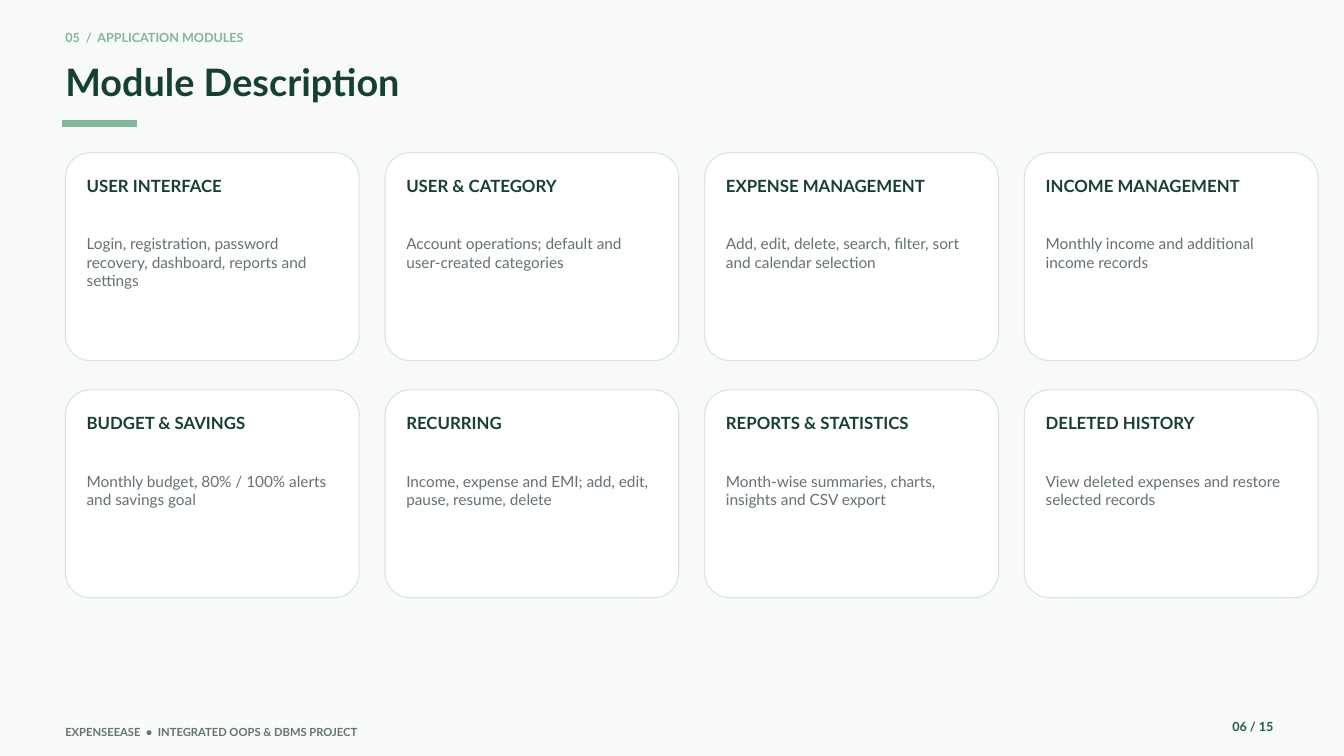
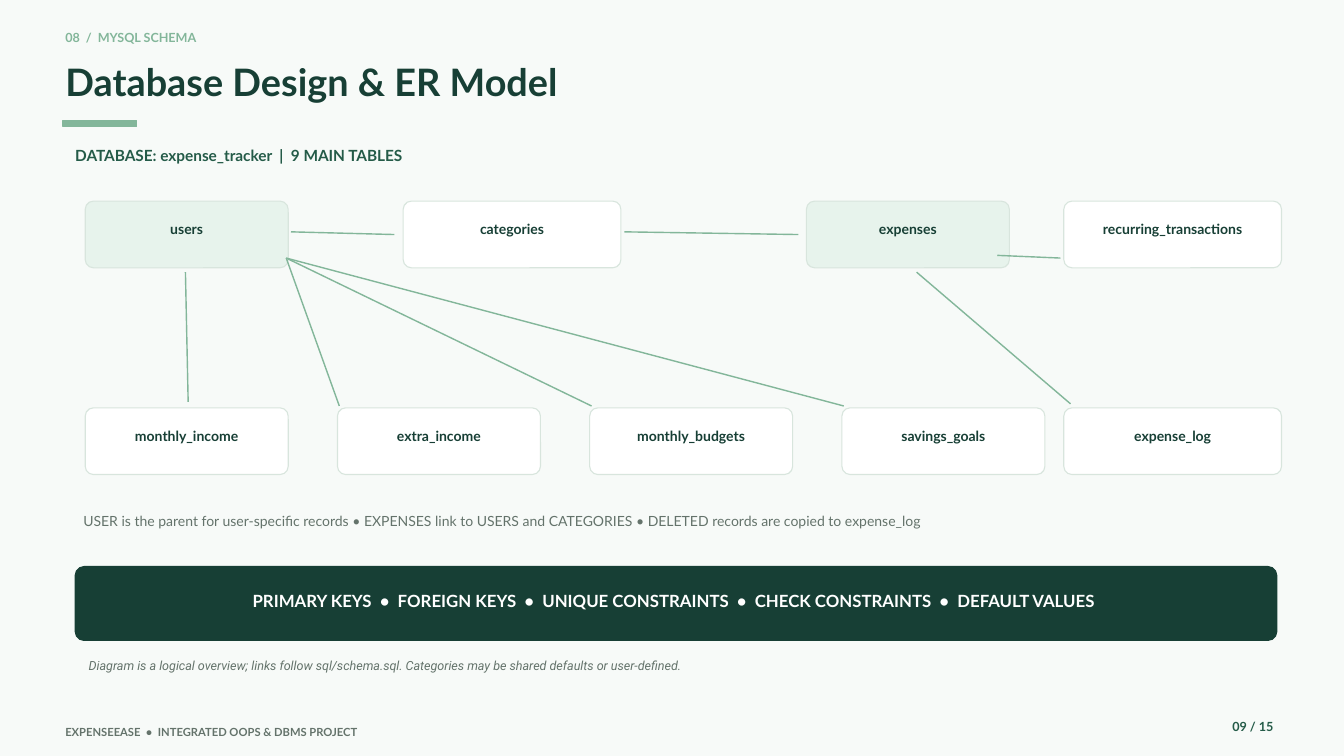
from lxml import etree
from pptx import Presentation
from pptx.dml.color import RGBColor
from pptx.enum.shapes import MSO_CONNECTOR, MSO_SHAPE
from pptx.enum.text import MSO_ANCHOR, MSO_AUTO_SIZE, PP_ALIGN
from pptx.oxml.ns import qn
from pptx.util import Pt

PAPER = RGBColor(0xF7, 0xFA, 0xF8)
WHITE = RGBColor(0xFF, 0xFF, 0xFF)
MINT = RGBColor(0xE7, 0xF3, 0xEC)
BORDER = RGBColor(0xD8, 0xE5, 0xDD)
SAGE = RGBColor(0x83, 0xB6, 0x9A)
GREEN = RGBColor(0x24, 0x5B, 0x48)
FOREST = RGBColor(0x17, 0x3F, 0x35)
GREY = RGBColor(0x64, 0x73, 0x6B)

FONT, NOTE_FONT = "Lato", "Roboto"
LEFT = 70
FOOTER = "EXPENSEEASE  •  INTEGRATED OOPS & DBMS PROJECT"
PAGE_COUNT = 15

MODULES = [
    ("USER INTERFACE",
     "Login, registration, password recovery, dashboard, reports and settings"),
    ("USER & CATEGORY",
     "Account operations; default and user-created categories"),
    ("EXPENSE MANAGEMENT",
     "Add, edit, delete, search, filter, sort and calendar selection"),
    ("INCOME MANAGEMENT", "Monthly income and additional income records"),
    ("BUDGET & SAVINGS", "Monthly budget, 80% / 100% alerts and savings goal"),
    ("RECURRING", "Income, expense and EMI; add, edit, pause, resume, delete"),
    ("REPORTS & STATISTICS",
     "Month-wise summaries, charts, insights and CSV export"),
    ("DELETED HISTORY", "View deleted expenses and restore selected records"),
]
CARD_COLS = 4
CARD_TOP, CARD_W, CARD_H = 163.6, 314.8, 222.8
CARD_STEP_X, CARD_STEP_Y = 342.5, 254.1

# Schema tables: name, left, top, width, fill
TOP_ROW, BOTTOM_ROW = 215.5, 437
NARROW, WIDE, TABLE_H = 217.5, 233.3, 71.5
FIRST_X, LAST_X, TABLE_STEP = 91.3, 1139.8, 270.25
USER_RECORDS = ["monthly_income", "extra_income", "monthly_budgets",
                "savings_goals"]
TABLES = [
    ("users", FIRST_X, TOP_ROW, NARROW, MINT),
    ("categories", 432, TOP_ROW, WIDE, WHITE),
    ("expenses", 864, TOP_ROW, NARROW, MINT),
    *[(name, FIRST_X + i * TABLE_STEP, BOTTOM_ROW, NARROW, WHITE)
      for i, name in enumerate(USER_RECORDS)],
    ("recurring_transactions", LAST_X, TOP_ROW, WIDE, WHITE),
    ("expense_log", LAST_X, BOTTOM_ROW, WIDE, WHITE),
]
USERS_CORNER = (306.7, 276.5)
LINKS = [
    ((311.8, 248.4), (422.6, 251.3)),
    ((668.9, 248.4), (855.4, 251.3)),
    ((198.7, 291.6), (201.6, 430.6)),
    *[(USERS_CORNER, (FIRST_X + i * TABLE_STEP + 2, BOTTOM_ROW - 2))
      for i in (1, 2, 3)],
    ((1068.5, 273.6), (1136.2, 276.5)),
    ((982.1, 291.6), (1147, 432.7)),
]
DATABASE = "DATABASE: expense_tracker  |  9 MAIN TABLES"
RELATIONS = ("USER is the parent for user-specific records • EXPENSES link to "
             "USERS and CATEGORIES • DELETED records are copied to expense_log")
CONSTRAINTS = ("PRIMARY KEYS  •  FOREIGN KEYS  •  UNIQUE CONSTRAINTS  •  "
               "CHECK CONSTRAINTS  •  DEFAULT VALUES")
SCHEMA_NOTE = ("Diagram is a logical overview; links follow sql/schema.sql. "
               "Categories may be shared defaults or user-defined.")


def write(sp, text, size, color, bold=False, italic=False,
          align=PP_ALIGN.LEFT, font=FONT):
    tf = sp.text_frame
    tf.word_wrap = True
    tf.auto_size = MSO_AUTO_SIZE.NONE
    tf.vertical_anchor = MSO_ANCHOR.TOP
    tf.margin_left = tf.margin_right = tf.margin_top = tf.margin_bottom = 0
    p = tf.paragraphs[0]
    p.alignment = align
    p.line_spacing = Pt(size * 1.2)
    r = p.add_run()
    r.text = text
    r.font.name, r.font.size = font, Pt(size)
    r.font.bold, r.font.italic = bold, italic
    r.font.color.rgb = color


def add_text(slide, box, text, size, color, **style):
    sp = slide.shapes.add_textbox(*map(Pt, box))
    write(sp, text, size, color, **style)


def add_box(slide, box, fill, line, radius=0):
    kind = MSO_SHAPE.ROUNDED_RECTANGLE if radius else MSO_SHAPE.RECTANGLE
    sp = slide.shapes.add_shape(kind, *map(Pt, box))
    if radius:
        sp.adjustments[0] = radius / min(box[2:])
    sp.shadow.inherit = False
    sp.fill.solid()
    sp.fill.fore_color.rgb = fill
    sp.line.color.rgb = line
    sp.line.width = Pt(1.2)


def add_link(slide, start, end):
    line = slide.shapes.add_connector(MSO_CONNECTOR.STRAIGHT,
                                      *map(Pt, start + end))
    line.line.color.rgb = SAGE
    line.line.width = Pt(1.5)
    etree.SubElement(line._element.spPr, qn("a:effectLst"))


def add_slide(prs, section, title, page):
    """Add a slide with the shared heading, accent bar and footer."""
    slide = prs.slides.add_slide(prs.slide_layouts.get_by_name("Title Only"))
    add_text(slide, (LEFT, 32.4, 1302, 21), section, 13.5, SAGE, bold=True)
    sp = slide.shapes.title
    sp.left, sp.top, sp.width, sp.height = map(Pt, (LEFT, 63.4, 1291, 56))
    write(sp, title, 40.5, FOREST, bold=True)
    add_box(slide, (67.5, 129, 79, 7), SAGE, SAGE)
    add_text(slide, (LEFT, 777, 1021, 14), FOOTER, 12, GREY, bold=True)
    add_text(slide, (1310.4, 770.4, 54, 22), f"{page:02} / {PAGE_COUNT}",
             13.5, GREEN, bold=True, align=PP_ALIGN.RIGHT)
    return slide


def build_modules(prs):
    slide = add_slide(prs, "05  /  APPLICATION MODULES",
                      "Module Description", 6)
    for i, (name, description) in enumerate(MODULES):
        row, col = divmod(i, CARD_COLS)
        x, y = LEFT + col * CARD_STEP_X, CARD_TOP + row * CARD_STEP_Y
        add_box(slide, (x, y, CARD_W, CARD_H), WHITE, BORDER, radius=27)
        add_text(slide, (x + 22.8, y + 25, 270, 46), name, 18, FOREST,
                 bold=True)
        add_text(slide, (x + 22.8, y + 87.7, 270, 108), description, 16.5,
                 GREY)


def build_schema(prs):
    slide = add_slide(prs, "08  /  MYSQL SCHEMA",
                      "Database Design & ER Model", 9)
    add_text(slide, (80.6, 156.2, 426, 24.5), DATABASE, 16.5, GREEN, bold=True)
    for name, x, y, width, fill in TABLES:
        add_box(slide, (x, y, width, TABLE_H), fill, BORDER, radius=8.8)
        add_text(slide, (x + 8.8, y + 20.8, width - 17.6, 27), name, 15,
                 FOREST, bold=True, align=PP_ALIGN.CENTER)
    for start, end in LINKS:
        add_link(slide, start, end)
    add_text(slide, (89.3, 548.6, 1269, 27), RELATIONS, 15, GREY)
    add_box(slide, (80.6, 607, 1287.4, 79.2), FOREST, FOREST, radius=9.5)
    add_text(slide, (108.7, 632.9, 1226, 24.5), CONSTRAINTS, 18, WHITE,
             bold=True, align=PP_ALIGN.CENTER)
    add_text(slide, (95, 704.9, 1237, 22), SCHEMA_NOTE, 13.5, GREY,
             italic=True, font=NOTE_FONT)


def main():
    prs = Presentation()
    prs.slide_width, prs.slide_height = Pt(1440), Pt(810)
    background = prs.slide_master.background.fill
    background.solid()
    background.fore_color.rgb = PAPER
    build_modules(prs)
    build_schema(prs)
    prs.save("out.pptx")


if __name__ == "__main__":
    main()
